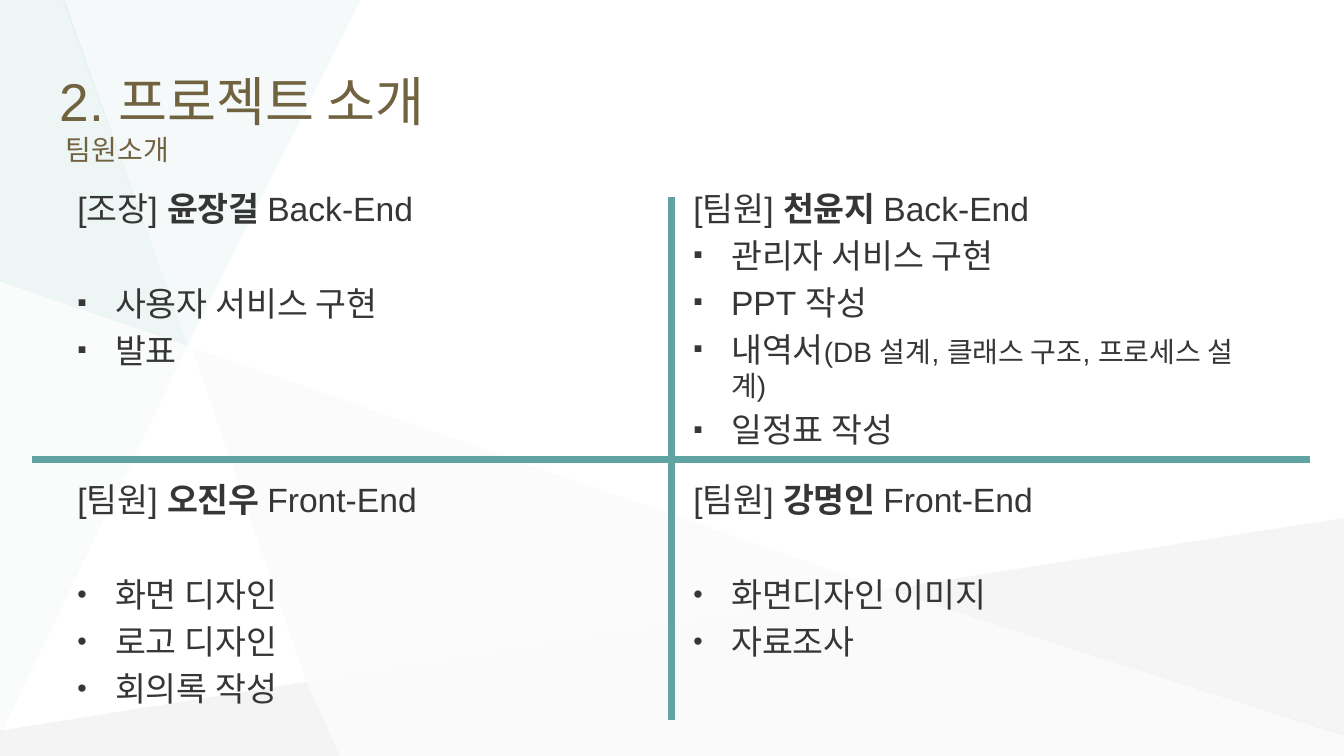
import pptx
import pptx.dml.color
import pptx.enum.shapes
import pptx.enum.text
import pptx.oxml
import pptx.oxml.ns
import pptx.util
import lxml.etree

Pt = pptx.util.Pt
COLORS = {
    "title": "716340", "text": "363636", "divider": "5FA4A2",
    "pale": "F3F2F2", "gray": "B6B8BA", "silver": "C6C8CA",
    "mist": "E0EDED", "mint": "C1DBDB",
}
HUB, LOWER, RIGHT = (134, 247), (219, 487), (633, 421)
FACETS = [
    ("pale", 26, [(137, 248), LOWER, RIGHT]),
    ("gray", 15, [LOWER, (0, 522), (0, 540), (242.5, 540)]),
    ("mist", 31, [(257.5, 0), (45, 0), HUB]),
    ("silver", 17, [(960, 370), RIGHT, (960, 525.5)]),
    ("gray", 6, [RIGHT, LOWER, (242.5, 540), (960, 540), (960, 525)]),
    ("mint", 27, [(46, 0), (0, 0), (0, 201), HUB]),
    ("mint", 8, [(0, 201), (0, 525.5), HUB]),
]
MEMBERS = [
    ("조장", "윤장걸", "Back-End", "▪", True, ["사용자 서비스 구현", "발표"]),
    ("팀원", "천윤지", "Back-End", "▪", False,
     ["관리자 서비스 구현", "PPT 작성",
      ("내역서", "(DB 설계, 클래스 구조, 프로세스 설계)"), "일정표 작성"]),
    ("팀원", "오진우", "Front-End", "•", True,
     ["화면 디자인", "로고 디자인", "회의록 작성"]),
    ("팀원", "강명인", "Front-End", "•", True, ["화면디자인 이미지", "자료조사"]),
]
COLUMNS, ROWS = (48, 488), (130.3, 338.4)
BODY_IDS = (1, 2, 3, 4)


class TeamSlide:
    font_name = "Arial"
    text_size = 24
    small_size = 20
    indent = 27
    list_gap = 39

    def __init__(self, presentation):
        self.slide = presentation.slides.add_slide(presentation.slide_layouts[4])
        self.facet_count = 0

    def color(self, name):
        return pptx.dml.color.RGBColor.from_string(COLORS[name])

    def style(self, paragraph, size, color):
        paragraph.font.name = self.font_name
        paragraph.font.size = Pt(size)
        paragraph.font.bold = False
        paragraph.font.color.rgb = self.color(color)

    def place(self, shape, left, top, width, height, anchor):
        shape.left, shape.top = Pt(left), Pt(top)
        shape.width, shape.height = Pt(width), Pt(height)
        frame = shape.text_frame
        frame.word_wrap = True
        frame.auto_size = pptx.enum.text.MSO_AUTO_SIZE.NONE
        frame.vertical_anchor = anchor
        return frame

    def run(self, paragraph, text, size=None, bold=None):
        run = paragraph.add_run()
        run.text = text
        if size:
            run.font.size = Pt(size)
        if bold is not None:
            run.font.bold = bold

    def bullet(self, paragraph, character=None):
        properties = paragraph._p.get_or_add_pPr()
        margin = self.indent if character else 0
        properties.set("marL", str(Pt(margin)))
        properties.set("indent", str(Pt(-margin)))
        tag = pptx.oxml.ns.qn
        if not character:
            lxml.etree.SubElement(properties, tag("a:buNone"))
            return
        color = lxml.etree.SubElement(properties, tag("a:buClr"))
        lxml.etree.SubElement(color, tag("a:srgbClr"), val=COLORS["text"])
        lxml.etree.SubElement(properties, tag("a:buSzPct"), val="80000")
        lxml.etree.SubElement(properties, tag("a:buFont"), typeface=self.font_name)
        lxml.etree.SubElement(properties, tag("a:buChar"), char=character)

    def facet(self, color, opacity, points):
        vertices = [(Pt(x), Pt(y)) for x, y in points]
        builder = self.slide.shapes.build_freeform(*vertices[0])
        builder.add_line_segments(vertices[1:], close=True)
        shape = builder.convert_to_shape()
        shape.shadow.inherit = False
        shape.line.fill.background()
        shape.fill.solid()
        shape.fill.fore_color.rgb = self.color(color)
        fill = shape._element.spPr.find(".//" + pptx.oxml.ns.qn("a:srgbClr"))
        lxml.etree.SubElement(fill, pptx.oxml.ns.qn("a:alpha"), val=str(opacity * 1000))
        self.slide.shapes._spTree.insert(2 + self.facet_count, shape._element)
        self.facet_count += 1

    def title(self, heading, subtitle):
        frame = self.place(self.slide.shapes.title, 35.3, 26.6, 890, 114.5,
                           pptx.enum.text.MSO_ANCHOR.MIDDLE)
        paragraph = frame.paragraphs[0]
        paragraph.alignment = pptx.enum.text.PP_ALIGN.LEFT
        self.style(paragraph, 38, "title")
        self.run(paragraph, heading)
        paragraph.add_line_break()
        self.run(paragraph, subtitle, self.small_size)

    def member(self, placeholder_id, left, top, role, name, field, mark, gap, tasks):
        frame = self.place(self.slide.placeholders[placeholder_id], left, top, 424, 188,
                           pptx.enum.text.MSO_ANCHOR.TOP)
        heading = frame.paragraphs[0]
        self.bullet(heading)
        self.style(heading, self.text_size, "text")
        self.run(heading, f"[{role}] ")
        self.run(heading, name, bold=True)
        self.run(heading, f" {field}")
        for number, task in enumerate(tasks):
            paragraph = frame.add_paragraph()
            if gap and number == 0:
                paragraph.space_before = Pt(self.list_gap)
            self.bullet(paragraph, mark)
            self.style(paragraph, self.text_size, "text")
            text, detail = (task, None) if isinstance(task, str) else task
            self.run(paragraph, text)
            if detail:
                self.run(paragraph, detail, self.small_size)

    def divider(self, *ends):
        connector = self.slide.shapes.add_connector(
            pptx.enum.shapes.MSO_CONNECTOR.STRAIGHT, *map(Pt, ends))
        connector.line.color.rgb = self.color("divider")
        connector.line.width = Pt(5)
        lxml.etree.SubElement(connector._element.spPr, pptx.oxml.ns.qn("a:effectLst"))


def main():
    presentation = pptx.Presentation()
    presentation.slide_width, presentation.slide_height = Pt(960), Pt(540)
    team = TeamSlide(presentation)
    for facet in FACETS:
        team.facet(*facet)
    team.title("2. 프로젝트 소개", " 팀원소개")
    corners = [(left, top) for top in ROWS for left in COLUMNS]
    for placeholder_id, corner, member in zip(BODY_IDS, corners, MEMBERS):
        team.member(placeholder_id, *corner, *member)
    team.divider(23, 328.3, 936, 328.3)
    team.divider(480, 141, 480, 514)
    presentation.save("out.pptx")


if __name__ == "__main__":
    main()
